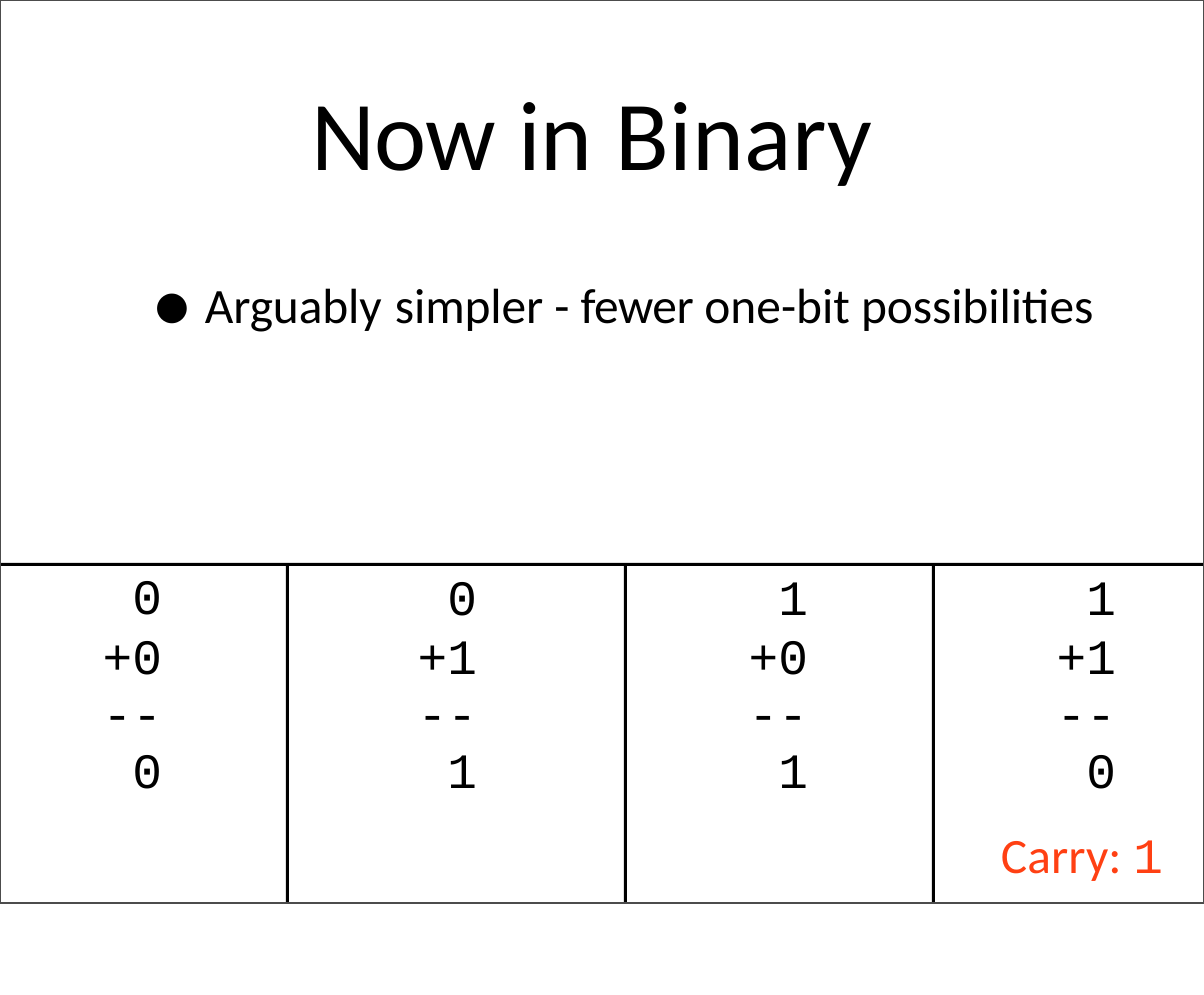
from lxml import etree
from pptx import Presentation, util as u
from pptx.dml.color import RGBColor
from pptx.enum import shapes, text
from pptx.oxml.ns import qn

PX = 10796  # EMU in one px
SLIDE = (1204, 995)
FRAME = (0, 0, 1204, 903)
BLACK, ORANGE, GREY = "000000", "FF4013", "4C4C4C"
SANS, MONO = "Calibri", "Courier New"

# Runs: wording, letter spacing in hundredths of a point, font
TITLE = [("Now ", -30, SANS), ("in ", -10, SANS), ("Binary", 40, SANS)]
POINT = [("Arguably\tsimpler ", -10, SANS), ("- ", 0, SANS), ("fewer ", -40, SANS),
         ("one-bit ", 0, SANS), ("possibilities", -10, SANS)]
CARRY = [("Carry: ", 10, SANS), ("1", 0, MONO)]
TITLE_BOX = (311, 71, 584, 121)
POINT_BOX = (151, 273, 947, 62)
CARRY_BOX = (1001, 823, 170, 62)
POINT_INDENT, POINT_TABS = 54, (54, 244)

SUMS = [("0", "+0", "--", "0"), ("0", "+1", "--", "1"),
        ("1", "+0", "--", "1"), ("1", "+1", "--", "0")]
COLUMN_WIDTHS = (189, 338, 308, 185)
RIGHT_MARGINS = (126, 149, 126, 3)
TOP_MARGINS = (8, 9, 9, 9)
LINE_SPACING = (43.4, 43.9, 43.9, 43.9)
TABLE_LEFT, TABLE_TOP = 99, 565
FIRST_ROW, OTHER_ROW = 73, 57
RULE_TOP, RULE_WIDTH = 563, 3
DIVIDERS = (286, 624, 932)


def px(*lengths):
    return [u.Emu(length * PX) for length in lengths]


def colour(value):
    return RGBColor.from_string(value)


def style(font, name, size, shade):
    font.name, font.size = name, u.Pt(size)
    font.color.rgb = colour(shade)


def write(box, runs, size, shade):
    """Fill a text box or placeholder with one line of spaced runs."""
    frame = box.text_frame
    frame.word_wrap = True
    frame.auto_size = text.MSO_AUTO_SIZE.NONE
    frame.vertical_anchor = text.MSO_ANCHOR.TOP
    frame.margin_left = frame.margin_right = frame.margin_bottom = 0
    frame.margin_top = px(1)[0]
    para = frame.paragraphs[0]
    para.alignment = text.PP_ALIGN.LEFT
    para.space_before = u.Pt(0)
    for wording, spacing, name in runs:
        span = para.add_run()
        span.text = wording
        style(span.font, name, size, shade)
        span.font._element.set("spc", str(spacing))
    return para


def add_bullet(para):
    props = para._p.get_or_add_pPr()
    props.set("marL", str(POINT_INDENT * PX))
    props.set("indent", str(-(POINT_INDENT - 1) * PX))
    etree.SubElement(props, qn("a:buSzPct"), val="170000")
    etree.SubElement(props, qn("a:buFont"), typeface=SANS)
    etree.SubElement(props, qn("a:buChar"), char="•")
    tabs = etree.SubElement(props, qn("a:tabLst"))
    for stop in POINT_TABS:
        etree.SubElement(tabs, qn("a:tab"), pos=str(stop * PX), algn="l")


def add_sums(page):
    rows = len(SUMS[0])
    height = FIRST_ROW + OTHER_ROW * (rows - 1)
    table = page.shapes.add_table(rows, len(SUMS), *px(
        TABLE_LEFT, TABLE_TOP, sum(COLUMN_WIDTHS), height)).table
    table.first_row = table.horz_banding = False
    for r, row in enumerate(table.rows):
        row.height = px(OTHER_ROW if r else FIRST_ROW)[0]
    for c, lines in enumerate(SUMS):
        table.columns[c].width = px(COLUMN_WIDTHS[c])[0]
        for r, line in enumerate(lines):
            cell = table.cell(r, c)
            cell.fill.background()
            cell.margin_left = cell.margin_bottom = 0
            cell.margin_right, cell.margin_top = px(
                RIGHT_MARGINS[c], 0 if r else TOP_MARGINS[c])
            para = cell.text_frame.paragraphs[0]
            para.alignment = text.PP_ALIGN.RIGHT
            if r:
                para.line_spacing = u.Pt(LINE_SPACING[c])
            span = para.add_run()
            span.text = line
            style(span.font, MONO, 42, BLACK)


def add_rules(page):
    """Draw the horizontal rule and its dividers as one comb outline."""
    right, bottom = FRAME[2:]
    under = RULE_TOP + RULE_WIDTH
    points = [(0, RULE_TOP), (0, under)]
    for x in DIVIDERS:
        end = x + RULE_WIDTH
        points += [(x, under), (x, bottom), (end, bottom), (end, under)]
    points += [(right, under), (right, RULE_TOP)]
    builder = page.shapes.build_freeform(*points[0], scale=PX)
    builder.add_line_segments(points[1:], close=True)
    comb = builder.convert_to_shape()
    comb.shadow.inherit = False
    comb.fill.solid()
    comb.fill.fore_color.rgb = colour(BLACK)
    comb.line.fill.background()


def add_frame(page):
    border = page.shapes.add_shape(shapes.MSO_SHAPE.RECTANGLE, *px(*FRAME))
    border.shadow.inherit = False
    border.fill.background()
    border.line.color.rgb = colour(GREY)
    border.line.width = u.Pt(1)


def main():
    deck = Presentation()
    deck.slide_width, deck.slide_height = px(*SLIDE)
    page = deck.slides.add_slide(deck.slide_layouts[5])
    title = page.shapes.title
    title.left, title.top, title.width, title.height = px(*TITLE_BOX)
    write(title, TITLE, 84, BLACK)
    add_bullet(write(page.shapes.add_textbox(*px(*POINT_BOX)), POINT, 42, BLACK))
    add_sums(page)
    add_rules(page)
    write(page.shapes.add_textbox(*px(*CARRY_BOX)), CARRY, 42, ORANGE)
    add_frame(page)
    deck.save("out.pptx")


if __name__ == "__main__":
    main()
